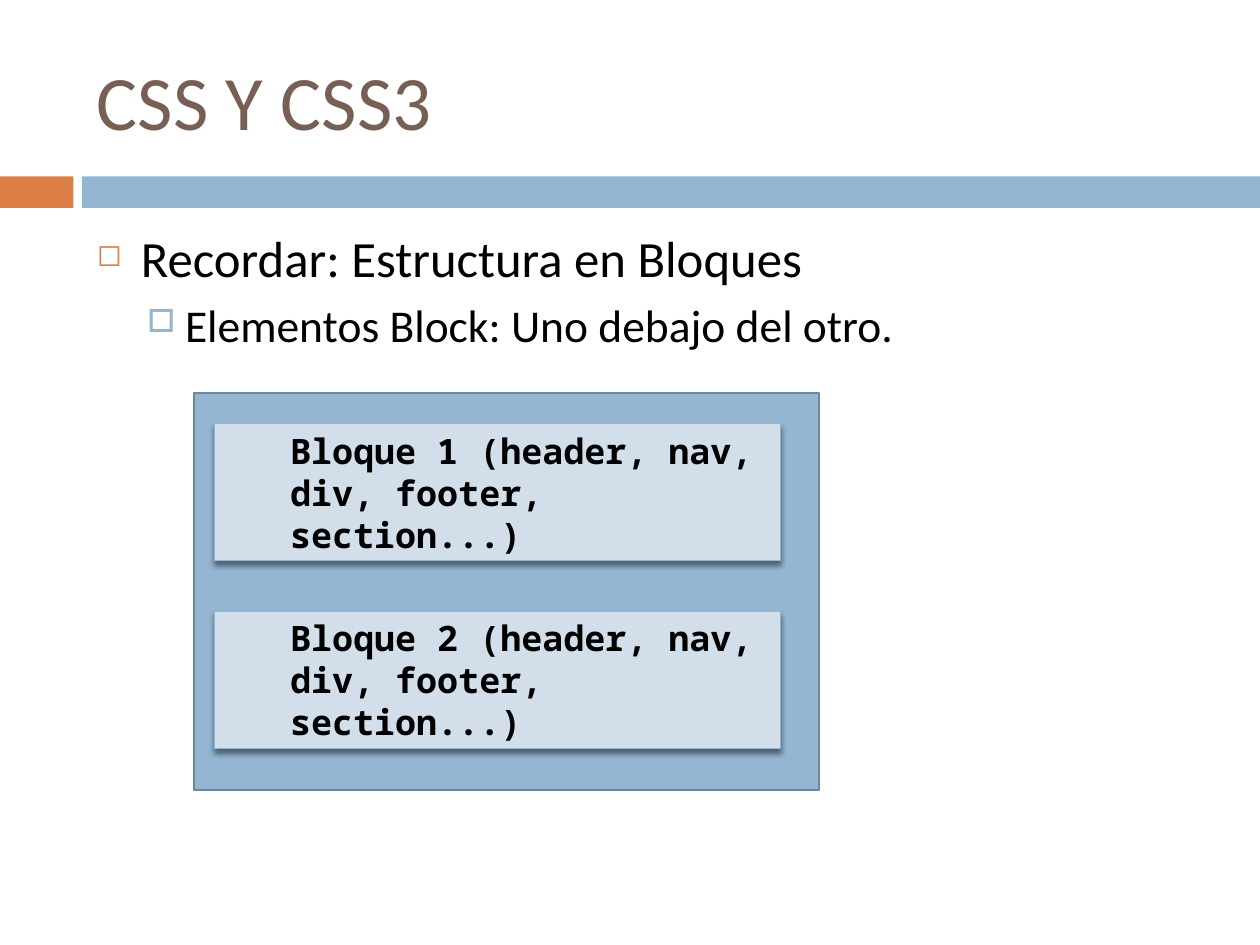
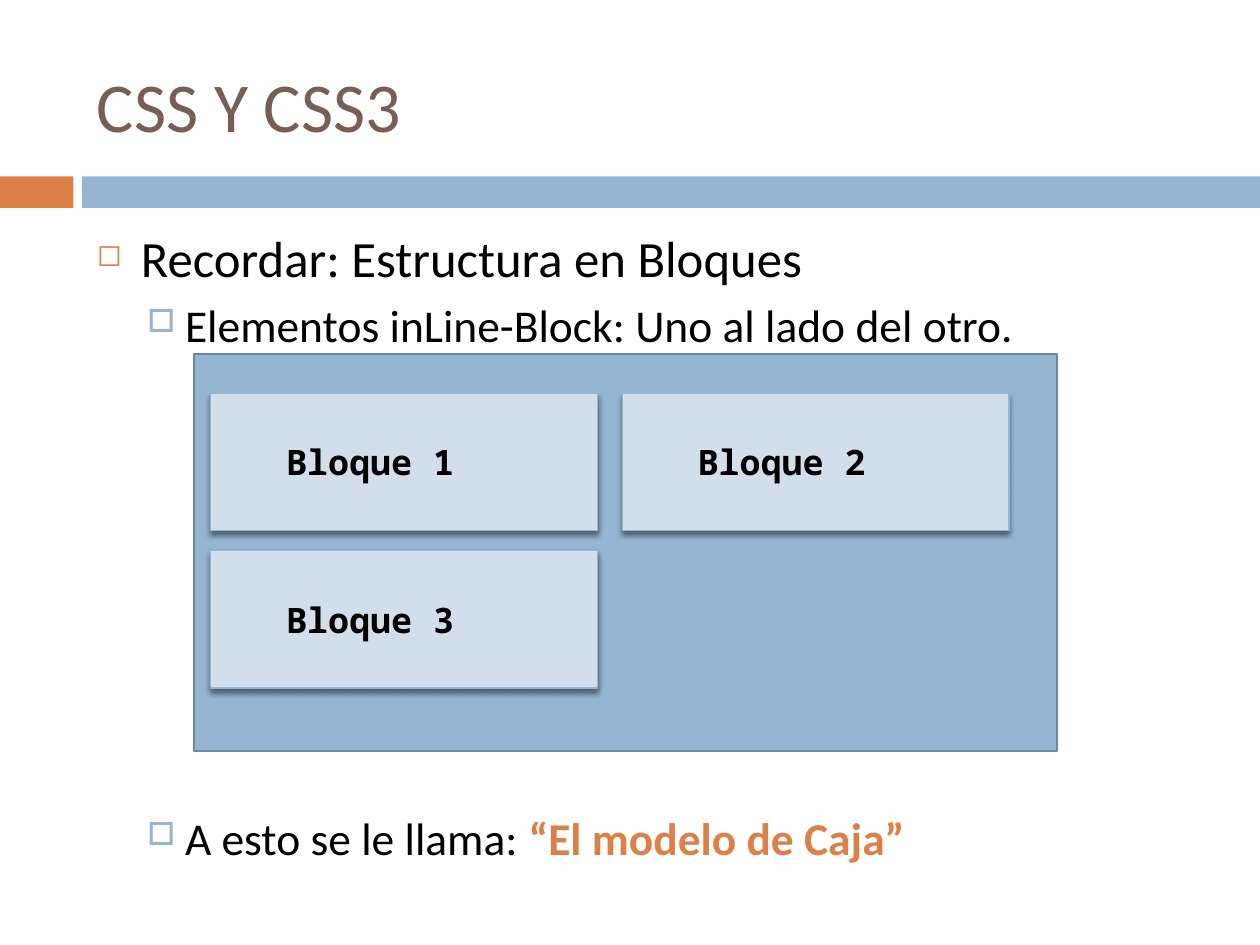
import pptx
import pptx.util
import pptx.dml.color
import pptx.enum.shapes
import pptx.enum.text
import pptx.oxml.ns
import lxml.etree

Pt = pptx.util.Pt
RGBColor = pptx.dml.color.RGBColor
ORANGE = RGBColor(0xDD, 0x80, 0x47)
BLUE = RGBColor(0x94, 0xB6, 0xD2)
PALE_BLUE = RGBColor(0xD2, 0xDE, 0xEA)
SLATE = RGBColor(0x6D, 0x87, 0x9B)
BROWN = RGBColor(0x77, 0x5F, 0x55)
BLACK = RGBColor(0, 0, 0)
BODY_FONT = "Calibri"
CODE_FONT = "Noto Sans Mono"
SLIDE_WIDTH, SLIDE_HEIGHT = 720, 540
BLOCK_HEIGHT = 78.5
TOPIC = dict(size=29, indent=25.2, hanging=25.2, before=7, bullet=("◻", ORANGE, 60))
DETAIL = dict(size=26, indent=50.4, hanging=21.6, before=5.5, bullet=("□", BLUE, 70))


def add_node(parent, tag, **attributes):
    node = lxml.etree.SubElement(parent, pptx.oxml.ns.qn(tag))
    for name, value in attributes.items():
        node.set(name, str(value))
    return node


def write_text(para, text, size, font=BODY_FONT, color=BLACK, bold=False,
               indent=0, hanging=0, before=0, bullet=None):
    span = para.add_run()
    span.text = text
    span.font.size = Pt(size)
    span.font.name = font
    span.font.color.rgb = color
    span.font.bold = bold
    para.alignment = pptx.enum.text.PP_ALIGN.LEFT
    para.space_before = Pt(before)
    properties = para._p.get_or_add_pPr()
    properties.set("marL", str(Pt(indent)))
    properties.set("indent", str(-Pt(hanging)))
    if bullet:
        symbol, bullet_color, percent = bullet
        add_node(add_node(properties, "a:buClr"), "a:srgbClr", val=bullet_color)
        add_node(properties, "a:buSzPct", val=percent * 1000)
        add_node(properties, "a:buChar", char=symbol)


def add_rectangle(page, box, fill, line=None, line_width=0):
    shape = page.shapes.add_shape(pptx.enum.shapes.MSO_SHAPE.RECTANGLE, *map(Pt, box))
    shape.fill.solid()
    shape.fill.fore_color.rgb = fill
    if line:
        shape.line.color.rgb = line
        shape.line.width = Pt(line_width)
    else:
        shape.line.fill.background()
    shape.shadow.inherit = False
    return shape


def add_text_frame(page, box, anchor):
    frame = page.shapes.add_textbox(*map(Pt, box)).text_frame
    frame.word_wrap = True
    frame.vertical_anchor = anchor
    return frame


def add_bands(page, top=100.8, height=18, marker_width=42, gap=4.8):
    left = marker_width + gap
    add_rectangle(page, (0, top, marker_width, height), ORANGE)
    add_rectangle(page, (left, top, SLIDE_WIDTH - left, height), BLUE)


def add_title(page, box, size):
    frame = add_text_frame(page, box, pptx.enum.text.MSO_ANCHOR.MIDDLE)
    write_text(frame.paragraphs[0], "CSS Y CSS3", size, color=BROWN)


def add_body(page, box, detail):
    frame = add_text_frame(page, box, pptx.enum.text.MSO_ANCHOR.TOP)
    write_text(frame.paragraphs[0], "Recordar: Estructura en Bloques", **TOPIC)
    write_text(frame.add_paragraph(), detail, **DETAIL)
    return frame


def add_block(page, box, label):
    block = add_rectangle(page, box, PALE_BLUE, BLUE, 0.79)
    effects = block._element.spPr.find(pptx.oxml.ns.qn("a:effectLst"))
    shadow = add_node(effects, "a:outerShdw", blurRad=Pt(3), dist=Pt(2.4),
                      dir=90 * 60000, rotWithShape=0)
    add_node(add_node(shadow, "a:srgbClr", val=BLACK), "a:alpha", val=45000)
    frame = block.text_frame
    frame.word_wrap = True
    frame.vertical_anchor = pptx.enum.text.MSO_ANCHOR.MIDDLE
    write_text(frame.paragraphs[0], label, 20, font=CODE_FONT, bold=True, indent=36)


def add_block_panel(page, box, labels, columns, inset, block_width, pitch):
    left, top = box[:2]
    add_rectangle(page, box, BLUE, SLATE, 1.5)
    for index, label in enumerate(labels):
        row, column = divmod(index, columns)
        add_block(page, (left + inset[0] + column * pitch[0],
                         top + inset[1] + row * pitch[1],
                         block_width, BLOCK_HEIGHT), label)


def add_page(deck, title_top, title_size, detail):
    page = deck.slides.add_slide(deck.slide_layouts[6])
    add_bands(page)
    add_title(page, (48.24, title_top, 642.24, 77.76), title_size)
    body = add_body(page, (48.24, 126, 642.24, 354.24), detail)
    return page, body


def build_stacked_slide(deck):
    page, body = add_page(deck, 18, 44, "Elementos Block: Uno debajo del otro.")
    labels = [f"Bloque {number} (header, nav, div, footer, section...)" for number in (1, 2)]
    add_block_panel(page, (110.88, 224.64, 357.12, 226.8), labels, columns=1,
                    inset=(11.8, 17.3), block_width=323.3, pitch=(0, 107.3))


def build_inline_slide(deck):
    page, body = add_page(deck, 20.88, 40, "Elementos inLine-Block: Uno al lado del otro.")
    closing = body.add_paragraph()
    write_text(closing, "A esto se le llama: ", **{**DETAIL, "before": 262})
    emphasis = closing.add_run()
    emphasis.text = "“El modelo de Caja”"
    emphasis.font.size = Pt(DETAIL["size"])
    emphasis.font.name = BODY_FONT
    emphasis.font.bold = True
    emphasis.font.color.rgb = ORANGE
    labels = [f"Bloque {number}" for number in (1, 2, 3)]
    add_block_panel(page, (110.88, 202.32, 493.2, 226.8), labels, columns=2,
                    inset=(9.5, 22.3), block_width=221, pitch=(235.2, 90))


def main():
    deck = pptx.Presentation()
    deck.slide_width, deck.slide_height = Pt(SLIDE_WIDTH), Pt(SLIDE_HEIGHT)
    build_stacked_slide(deck)
    build_inline_slide(deck)
    deck.save("out.pptx")


if __name__ == "__main__":
    main()
